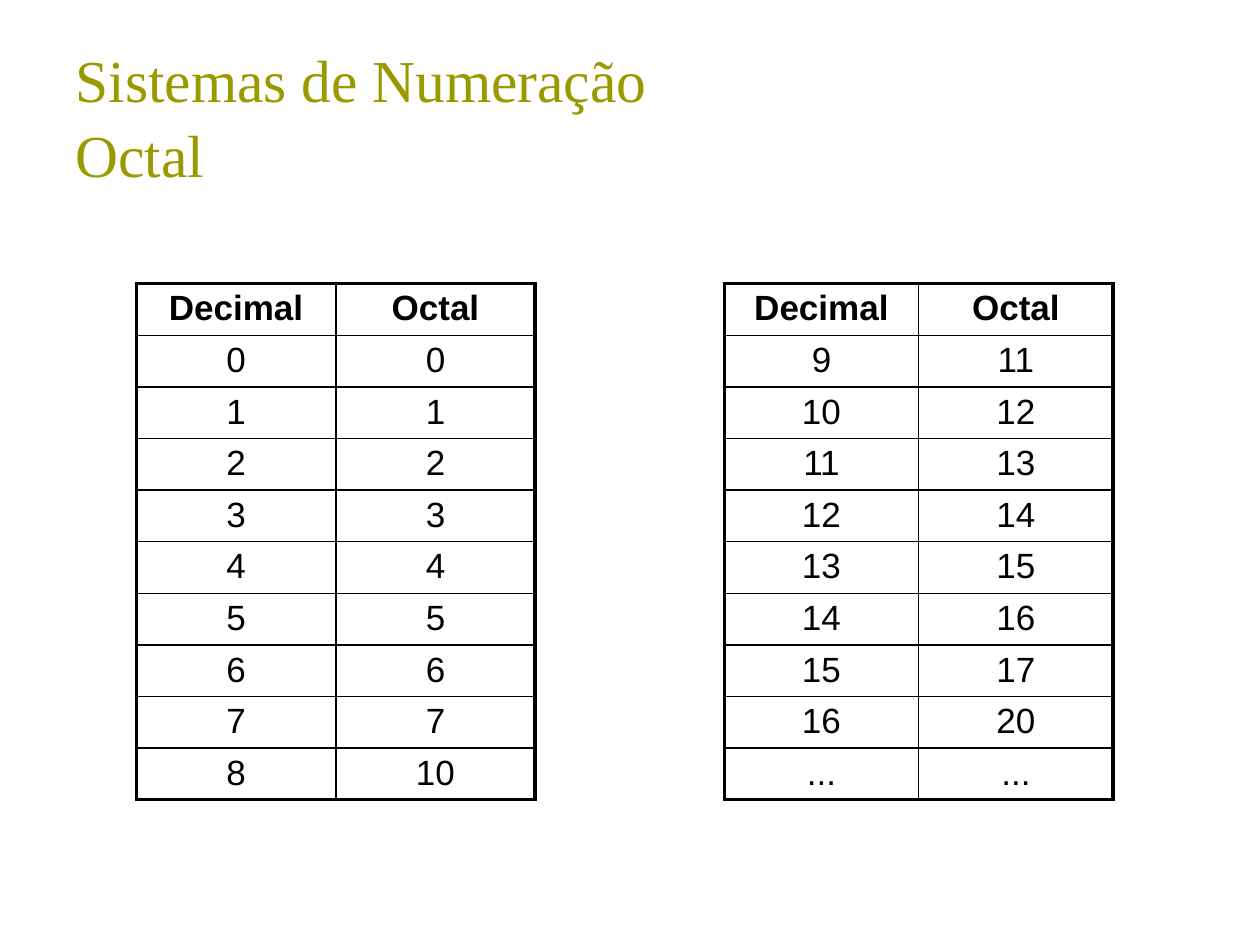
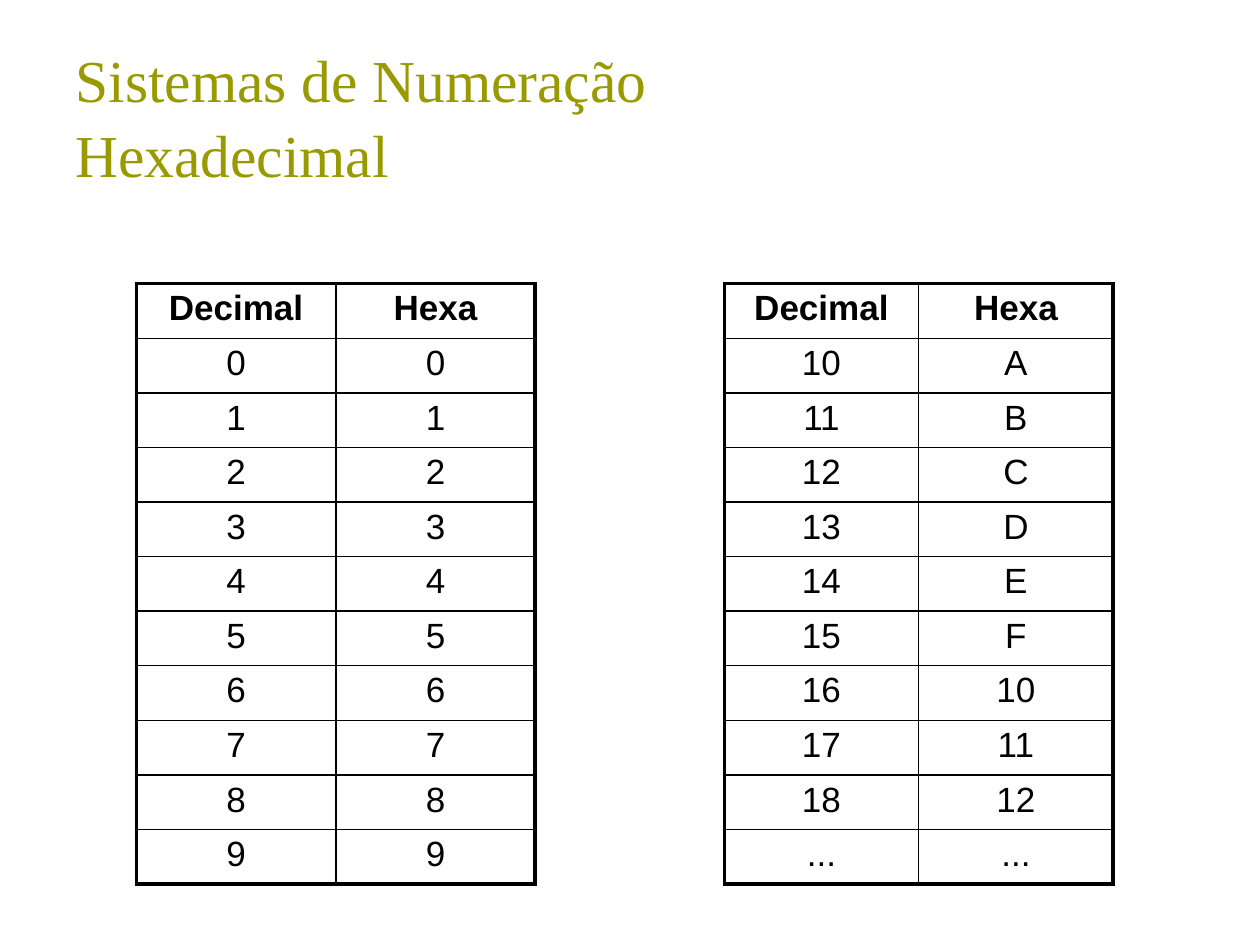
from dataclasses import dataclass

from lxml import etree
from pptx import Presentation, util as u
from pptx.dml.color import RGBColor
from pptx.enum import text
from pptx.oxml import ns


@dataclass(frozen=True)
class Theme:
    title_font: str = "Times New Roman"
    title_size: float = 34
    title_color: str = "999900"
    body_font: str = "Arial"
    body_size: float = 20
    ink: str = "000000"
    outer_line: float = 2.25
    inner_line: float = 1


class Deck:
    """Holds the theme and the slide being filled."""

    def __init__(self, theme):
        self.theme = theme
        self.prs = Presentation()
        self.prs.slide_width, self.prs.slide_height = u.Cm(25.4), u.Cm(19.05)

    def slide(self):
        self.s = self.prs.slides.add_slide(self.prs.slide_layouts[5])

    def run(self, p, words, font, size, color, bold=False):
        r = p.add_run()
        r.text = words
        r.font.name, r.font.size, r.font.bold = font, u.Pt(size), bold
        r.font.color.rgb = RGBColor.from_string(color)

    def title(self, *lines):
        t = self.theme
        sp = self.s.shapes.title
        sp.left, sp.top, sp.width, sp.height = map(u.Cm, (1.27, 0.76, 22.86, 3.18))
        tf = sp.text_frame
        tf.auto_size = text.MSO_AUTO_SIZE.NONE
        tf.vertical_anchor = text.MSO_ANCHOR.BOTTOM
        p = tf.paragraphs[0]
        p.alignment = text.PP_ALIGN.LEFT
        p.line_spacing = 1.05
        for i, line in enumerate(lines):
            if i:
                p.add_line_break()
            self.run(p, line, t.title_font, t.title_size, t.title_color)

    def border(self, cell, side, width):
        ln = etree.SubElement(cell._tc.get_or_add_tcPr(), ns.qn(f"a:ln{side}"),
                              w=str(u.Pt(width)))
        fill = etree.SubElement(ln, ns.qn("a:solidFill"))
        etree.SubElement(fill, ns.qn("a:srgbClr"), val=self.theme.ink)

    def table(self, left, col_width, row_height, rows):
        """Ruled table with a heavy frame and a bold first row."""
        t = self.theme
        n_rows, n_cols = len(rows), len(rows[0])
        table = self.s.shapes.add_table(
            n_rows, n_cols, u.Cm(left), u.Cm(5.72),
            u.Cm(col_width * n_cols), u.Cm(row_height * n_rows)).table
        table.horz_banding = table.first_row = False
        for i, row in enumerate(rows):
            for j, value in enumerate(row):
                cell = table.cell(i, j)
                cell.margin_top = cell.margin_bottom = u.Cm(0.11)
                on_frame = {"L": j == 0, "R": j == n_cols - 1,
                            "T": i == 0, "B": i == n_rows - 1}
                for side, outer in on_frame.items():
                    self.border(cell, side, t.outer_line if outer else t.inner_line)
                cell.fill.background()
                p = cell.text_frame.paragraphs[0]
                p.alignment = text.PP_ALIGN.CENTER
                self.run(p, value, t.body_font, t.body_size, t.ink, bold=i == 0)


def conversions(heading, code, numbers):
    """Header row, then each number in decimal and in the base of the format code."""
    return [("Decimal", heading)] + [(str(n), format(n, code)) for n in numbers]


def main():
    deck = Deck(Theme())
    # system, column heading, format code, start of right table, end, row height
    systems = [
        ("Octal", "Octal", "o", 9, 17, 1.04),
        ("Hexadecimal", "Hexa", "X", 10, 19, 1.1),
    ]
    for system, heading, code, split, end, row_height in systems:
        deck.slide()
        deck.title("Sistemas de Numeração", system)
        deck.table(2.75, 4.02, row_height, conversions(heading, code, range(split)))
        deck.table(14.6, 3.92, row_height,
                   conversions(heading, code, range(split, end)) + [("...", "...")])
    deck.prs.save("out.pptx")


if __name__ == "__main__":
    main()
